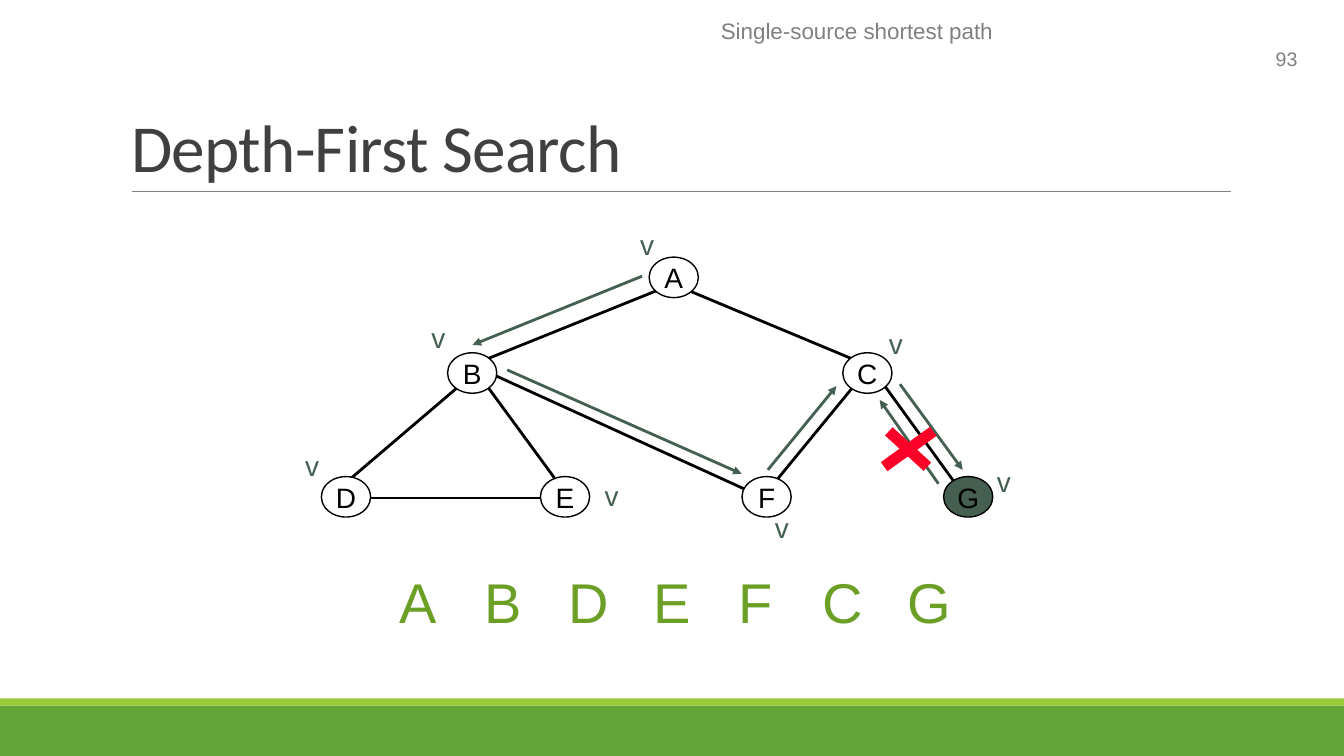
from dataclasses import dataclass

from lxml import etree
from pptx import Presentation
from pptx.dml.color import RGBColor
from pptx.enum import shapes, text
from pptx.oxml import ns
from pptx.util import Cm, Pt


@dataclass(frozen=True)
class Theme:
    font: str = "Arial"
    title_font: str = "Calibri"
    black: str = "000000"
    white: str = "FFFFFF"
    gray: str = "808080"
    title: str = "404040"
    visited: str = "455F51"
    order: str = "6B9F25"
    cross: str = "FC0128"
    band: str = "63A537"
    stripe: str = "99CB38"
    number_size: int = 14
    header_size: int = 16
    label_size: int = 20
    order_size: int = 40
    title_size: int = 48


theme = Theme()
presentation = Presentation()
presentation.slide_width = Cm(33.87)
presentation.slide_height = Cm(19.05)
slide = presentation.slides.add_slide(presentation.slide_layouts[5])


def add_line(points, color, width, arrow=False):
    connector = slide.shapes.add_connector(
        shapes.MSO_CONNECTOR.STRAIGHT, *[Cm(value) for value in points])
    connector.line.color.rgb = RGBColor.from_string(color)
    connector.line.width = Pt(width)
    etree.SubElement(connector._element.spPr, ns.qn("a:effectLst"))
    if arrow:
        line = connector.line._get_or_add_ln()
        etree.SubElement(line, ns.qn("a:tailEnd"), type="triangle")


def write(shape, words, size, color, align=text.PP_ALIGN.LEFT, font=theme.font):
    """Put one formatted paragraph in the shape and return it."""
    paragraph = shape.text_frame.paragraphs[0]
    paragraph.text = words
    paragraph.alignment = align
    paragraph.font.name = font
    paragraph.font.size = Pt(size)
    paragraph.font.color.rgb = RGBColor.from_string(color)
    return paragraph


# Frame of the slide
for top, height, color in [(17.78, 1.27, theme.band), (17.6, 0.18, theme.stripe)]:
    band = slide.shapes.add_shape(
        shapes.MSO_SHAPE.RECTANGLE, 0, Cm(top), presentation.slide_width, Cm(height))
    band.shadow.inherit = False
    band.fill.solid()
    band.fill.fore_color.rgb = RGBColor.from_string(color)
    band.line.fill.background()
add_line((3.33, 4.83, 31.01, 4.83), theme.gray, 0.5)

number = slide.shapes.add_textbox(Cm(31.83), Cm(1.07), Cm(1.12), Cm(0.86))
number.text_frame.word_wrap = False
write(number, "93", theme.number_size, theme.gray, text.PP_ALIGN.RIGHT)
header = slide.shapes.add_textbox(Cm(10.8), Cm(0.3), Cm(21.59), Cm(1.02))
header.text_frame.word_wrap = True
write(header, "Single-source shortest path", theme.header_size, theme.gray,
      text.PP_ALIGN.CENTER)

title = slide.shapes.title
title.left, title.top, title.width, title.height = Cm(3.05), Cm(0.79), Cm(27.94), Cm(4.04)
title.text_frame.auto_size = text.MSO_AUTO_SIZE.NONE
title.text_frame.vertical_anchor = text.MSO_ANCHOR.BOTTOM
heading = write(title, "Depth-First Search", theme.title_size, theme.title,
                font=theme.title_font)
heading.line_spacing = 0.85
heading.runs[0]._r.get_or_add_rPr().set("spc", "-50")

# Graph edges, then nodes on top of them
edges = [
    (12.45, 9.45, 18.8, 12.34),   # B-F
    (9.27, 12.55, 13.84, 12.55),  # D-E
    (11.51, 9.78, 8.86, 12.04),   # B-D
    (21.54, 9.7, 19.58, 12.09),   # C-F
    (22.3, 9.73, 24.08, 12.19),   # C-G
    (12.24, 9.68, 13.97, 12.04),  # B-E
    (16.56, 7.32, 12.29, 9.04),   # A-B
    (17.35, 7.32, 21.54, 9.07),   # A-C
]
for edge in edges:
    add_line(edge, theme.black, 2)

node_width, node_height = 1.24, 1.02
rows = [6.99, 9.4, 12.52]
nodes = [("A", 16.98, 0), ("B", 11.9, 1), ("C", 21.86, 1), ("D", 8.72, 2),
         ("E", 14.24, 2), ("F", 19.32, 2), ("G", 24.4, 2)]
for name, center, row in nodes:
    node = slide.shapes.add_shape(
        shapes.MSO_SHAPE.OVAL, Cm(center - node_width / 2),
        Cm(rows[row] - node_height / 2), Cm(node_width), Cm(node_height))
    node.shadow.inherit = False
    node.fill.solid()
    node.fill.fore_color.rgb = RGBColor.from_string(
        theme.visited if name == "G" else theme.white)
    node.line.color.rgb = RGBColor.from_string(theme.black)
    node.line.width = Pt(1)
    frame = node.text_frame
    frame.margin_left = frame.margin_right = frame.margin_top = frame.margin_bottom = 0
    frame.word_wrap = False
    frame.vertical_anchor = text.MSO_ANCHOR.MIDDLE
    write(node, name, theme.label_size, theme.black, text.PP_ALIGN.CENTER)

# Steps of the search and visited marks
steps = [
    (16.18, 6.96, 11.91, 8.69),   # A to B
    (12.78, 9.32, 18.69, 11.94),  # B to F
    (19.35, 11.84, 21.08, 9.73),  # F to C
    (22.68, 9.68, 24.26, 11.84),  # C to G
    (23.65, 12.19, 22.17, 10.08),  # G back to C
]
for step in steps:
    add_line(step, theme.visited, 2, arrow=True)

marks = [(15.88, 5.61), (10.62, 7.95), (7.44, 11.18), (14.99, 11.94),
         (19.28, 12.75), (22.15, 8.1), (24.87, 11.58)]
for left, top in marks:
    mark = slide.shapes.add_textbox(Cm(left), Cm(top), Cm(0.89), Cm(1.09))
    mark.text_frame.word_wrap = False
    write(mark, "v", theme.label_size, theme.visited)

for stroke in [(22.4, 10.87, 23.37, 11.76), (23.52, 10.87, 22.28, 11.76)]:
    add_line(stroke, theme.cross, 8)

# Visiting order, one letter per tab stop
letters = "ABDEFCG"
tab_step = 2.13
order = slide.shapes.add_textbox(Cm(9.83), Cm(14.17), Cm(14.38), Cm(1.93))
order.text_frame.word_wrap = True
sequence = write(order, "\t".join(letters), theme.order_size, theme.order)
tabs = etree.Element(ns.qn("a:tabLst"))
for index in range(1, len(letters)):
    etree.SubElement(tabs, ns.qn("a:tab"), pos=str(Cm(tab_step * index)), algn="l")
sequence._p.get_or_add_pPr().insert(0, tabs)
effects = etree.SubElement(sequence.runs[0]._r.get_or_add_rPr(), ns.qn("a:effectLst"))
shadow = etree.SubElement(effects, ns.qn("a:outerShdw"), dist=str(Pt(1.5)), dir="2700000")
etree.SubElement(shadow, ns.qn("a:srgbClr"), val=theme.black)

presentation.save("out.pptx")
